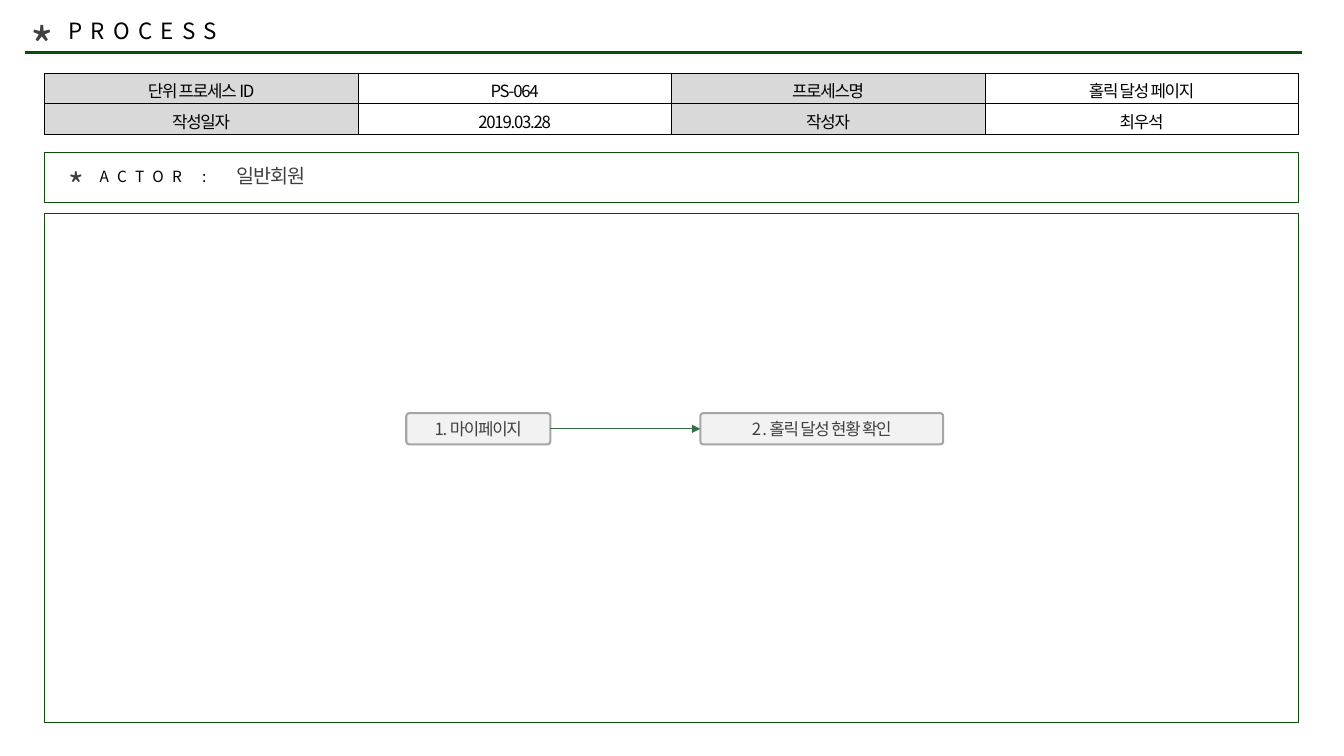
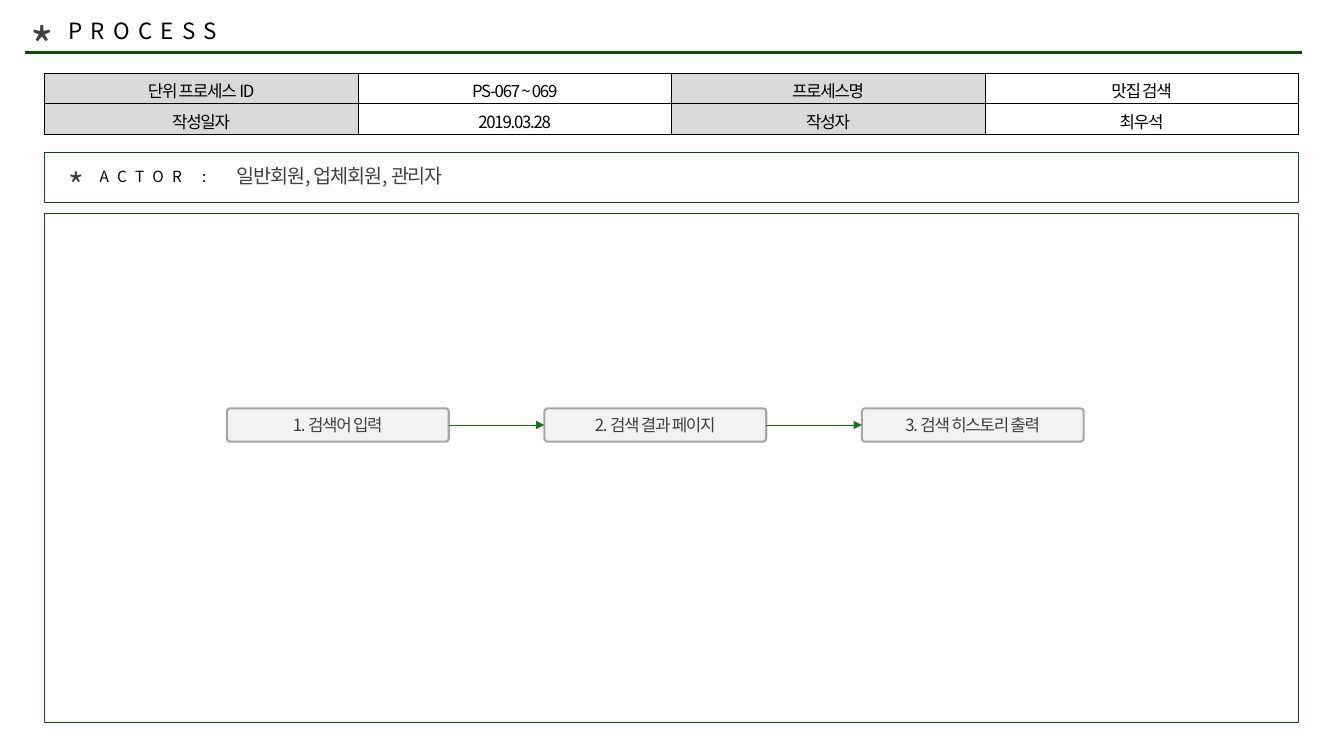
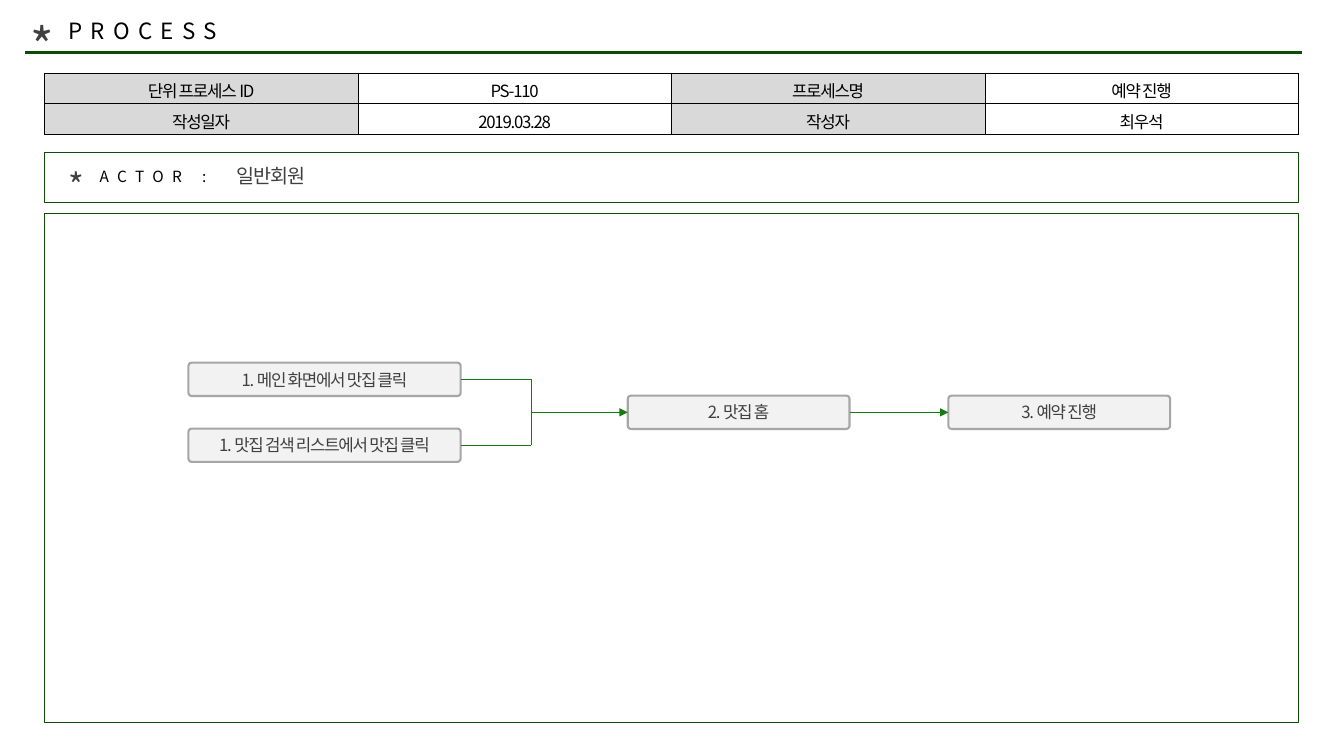
from lxml import etree
from pptx import Presentation
from pptx.dml.color import RGBColor
from pptx.enum.shapes import MSO_CONNECTOR, MSO_SHAPE
from pptx.enum.text import MSO_ANCHOR, MSO_AUTO_SIZE, PP_ALIGN
from pptx.oxml.ns import qn
from pptx.util import Cm, Pt

RECT, ROUNDED = MSO_SHAPE.RECTANGLE, MSO_SHAPE.ROUNDED_RECTANGLE
STRAIGHT = MSO_CONNECTOR.STRAIGHT
MIDDLE, CENTER, LEFT = MSO_ANCHOR.MIDDLE, PP_ALIGN.CENTER, PP_ALIGN.LEFT
GROW = MSO_AUTO_SIZE.SHAPE_TO_FIT_TEXT
FONT = "Noto Sans CJK KR"
GREEN, ARROW_GREEN, BLACK, GRAY = "0C4B09", "147B0F", "000000", "404040"
LABEL_FILL, NODE_FILL, NODE_LINE = "D9D9D9", "F2F2F2", "A6A6A6"
TIGHT, WIDE = -90, 600
MARGIN, CONTENT_W = 1.12, 31.6
NODE_H = 0.84


def write(tf, text, size, color, spacing=TIGHT, align=LEFT):
    p = tf.paragraphs[0]
    p.text = text
    p.alignment = align
    p.font.size = Pt(size)
    p.font.color.rgb = RGBColor.from_string(color)
    p.font.name = FONT
    rPr = p._p.get_or_add_pPr().get_or_add_defRPr()
    rPr.set("spc", str(spacing))
    etree.SubElement(rPr, qn("a:ea"), typeface=FONT)


def connect(s, x1, y1, x2, y2, color, width=0.5, arrow=False):
    line = s.shapes.add_connector(STRAIGHT, Cm(x1), Cm(y1), Cm(x2), Cm(y2))
    line.line.color.rgb = RGBColor.from_string(color)
    line.line.width = Pt(width)
    if arrow:
        etree.SubElement(line.line._get_or_add_ln(), qn("a:tailEnd"), type="triangle")
    etree.SubElement(line._element.spPr, qn("a:effectLst"))
    return line


processes = [
    ("PS-064", "홀릭 달성 페이지", "일반회원", "366E45",
     [("1. 마이페이지", 10.24, 10.41, 3.63, 0.79),
      ("2 . 홀릭 달성 현황 확인", 17.65, 10.41, 6.12, 0.79)],
     [(0, 1)]),
    ("PS-067 ~ 069", "맛집 검색", "일반회원, 업체회원, 관리자", ARROW_GREEN,
     [(label, 5.72 + 8 * i, 10.29, 5.59, NODE_H) for i, label in
      enumerate(["1. 검색어 입력", "2. 검색 결과 페이지", "3. 검색 히스토리 출력"])],
     [(0, 1), (1, 2)]),
    ("PS-110", "예약 진행", "일반회원", ARROW_GREEN,
     [("1. 메인 화면에서 맛집 클릭", 4.75, 9.14, 6.86, NODE_H),
      ("1. 맛집 검색 리스트에서 맛집 클릭", 4.75, 10.8, 6.86, NODE_H),
      ("2. 맛집 홈", 15.82, 9.97, 5.59, NODE_H),
      ("3. 예약 진행", 23.9, 9.97, 5.59, NODE_H)],
     [(2, 3)]),
]

prs = Presentation()
prs.slide_width, prs.slide_height = Cm(33.87), Cm(19.05)

for process_id, name, actors, arrow_color, nodes, arrows in processes:
    s = prs.slides.add_slide(prs.slide_layouts[6])
    connect(s, 0.64, 1.32, 32.82, 1.32, GREEN, 2.25)

    for text, x, y, w, h, size, color, spacing in [
        ("*", 0.51, 0.25, 1.32, 1.8, 36, GRAY, TIGHT),
        ("PROCESS", 1.47, 0.3, 10.97, 0.94, 16, BLACK, WIDE),
        ("*", 1.47, 4.04, 1.32, 1.27, 24, GRAY, TIGHT),
        ("ACTOR :", 2.26, 4.09, 3.38, 0.74, 11, BLACK, WIDE),
        (actors, 5.72, 4.01, 10.97, 0.86, 14, GRAY, TIGHT),
    ]:
        tf = s.shapes.add_textbox(Cm(x), Cm(y), Cm(w), Cm(h)).text_frame
        tf.word_wrap = True
        tf.auto_size = GROW
        write(tf, text, size, color, spacing)

    rows = [["단위 프로세스 ID", process_id, "프로세스명", name],
            ["작성일자", "2019.03.28", "작성자", "최우석"]]
    table = s.shapes.add_table(2, 4, Cm(MARGIN), Cm(1.84), Cm(CONTENT_W), Cm(1.54)).table
    table.first_row = table.horz_banding = False
    for r, row in enumerate(rows):
        for c, text in enumerate(row):
            cell = table.cell(r, c)
            cell.vertical_anchor = MIDDLE
            write(cell.text_frame, text, 12, BLACK, align=CENTER)
            tcPr = cell._tc.get_or_add_tcPr()
            for side in ("lnL", "lnR", "lnT", "lnB"):
                ln = etree.SubElement(tcPr, qn(f"a:{side}"), w=str(Pt(0.5)))
                fill = etree.SubElement(ln, qn("a:solidFill"))
                etree.SubElement(fill, qn("a:srgbClr"), val=BLACK)
            if c % 2 == 0:
                cell.fill.solid()
                cell.fill.fore_color.rgb = RGBColor.from_string(LABEL_FILL)
            else:
                cell.fill.background()

    for y, h in [(3.84, 1.27), (5.38, 12.83)]:
        frame = s.shapes.add_shape(RECT, Cm(MARGIN), Cm(y), Cm(CONTENT_W), Cm(h))
        frame.shadow.inherit = False
        frame.fill.background()
        frame.line.color.rgb = RGBColor.from_string(GREEN)
        frame.line.width = Pt(1)

    boxes = []
    for text, x, y, w, h in nodes:
        sp = s.shapes.add_shape(ROUNDED, Cm(x), Cm(y), Cm(w), Cm(h))
        sp.adjustments[0] = 0.1
        sp.shadow.inherit = False
        sp.fill.solid()
        sp.fill.fore_color.rgb = RGBColor.from_string(NODE_FILL)
        sp.line.color.rgb = RGBColor.from_string(NODE_LINE)
        sp.line.width = Pt(1.5)
        tf = sp.text_frame
        tf.word_wrap = True
        tf.vertical_anchor = MIDDLE
        tf.margin_left = tf.margin_right = tf.margin_top = tf.margin_bottom = Cm(0.1)
        write(tf, text, 12, GRAY, align=CENTER)
        boxes.append(sp)

    for start, end in arrows:
        arrow = connect(s, 0, 0, 0, 0, arrow_color, arrow=True)
        arrow.begin_connect(boxes[start], 3)
        arrow.end_connect(boxes[end], 1)

join_x, top_y, join_y, bottom_y = 13.39, 9.56, 10.39, 11.22
connect(s, join_x, top_y, join_x, bottom_y, ARROW_GREEN)
for box, y in zip(boxes, (top_y, bottom_y)):
    branch = connect(s, join_x, y, join_x, y, ARROW_GREEN)
    branch.begin_connect(box, 3)
arrow = connect(s, join_x, join_y, join_x, join_y, ARROW_GREEN, arrow=True)
arrow.end_connect(boxes[2], 1)

prs.save("out.pptx")
